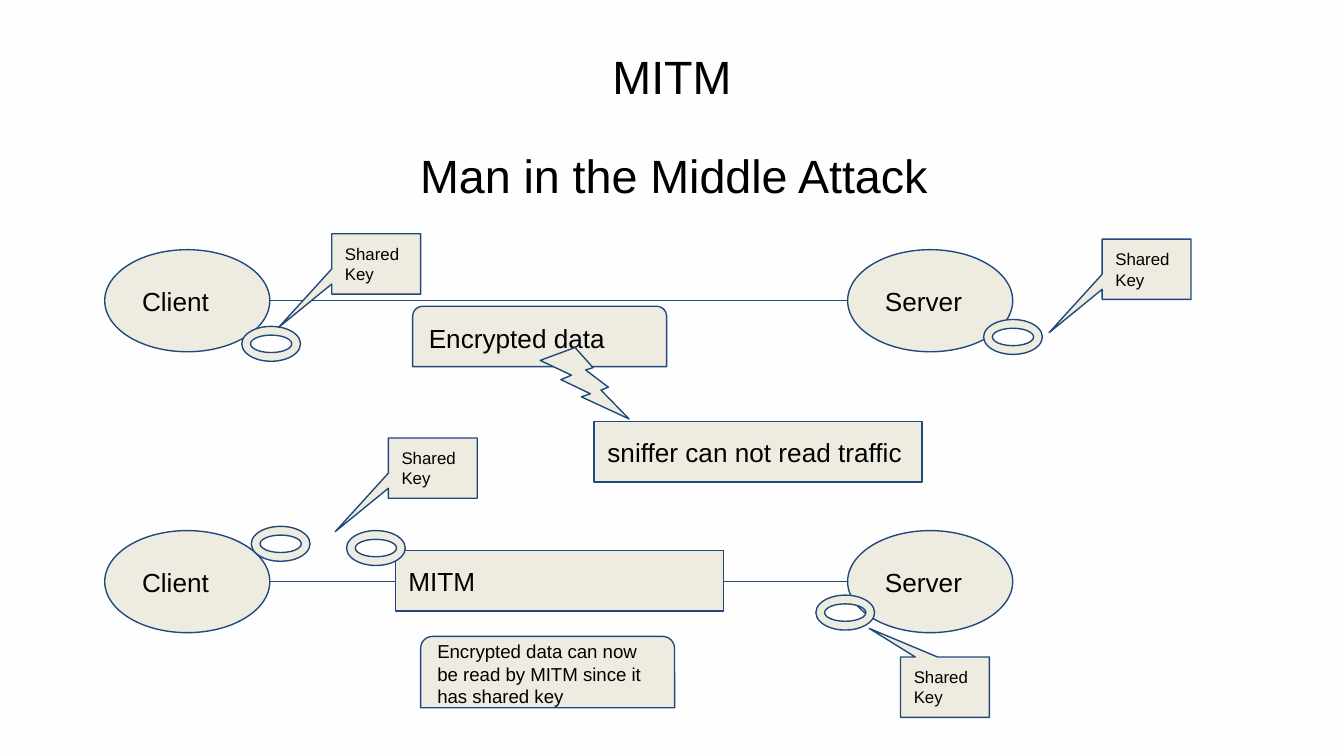
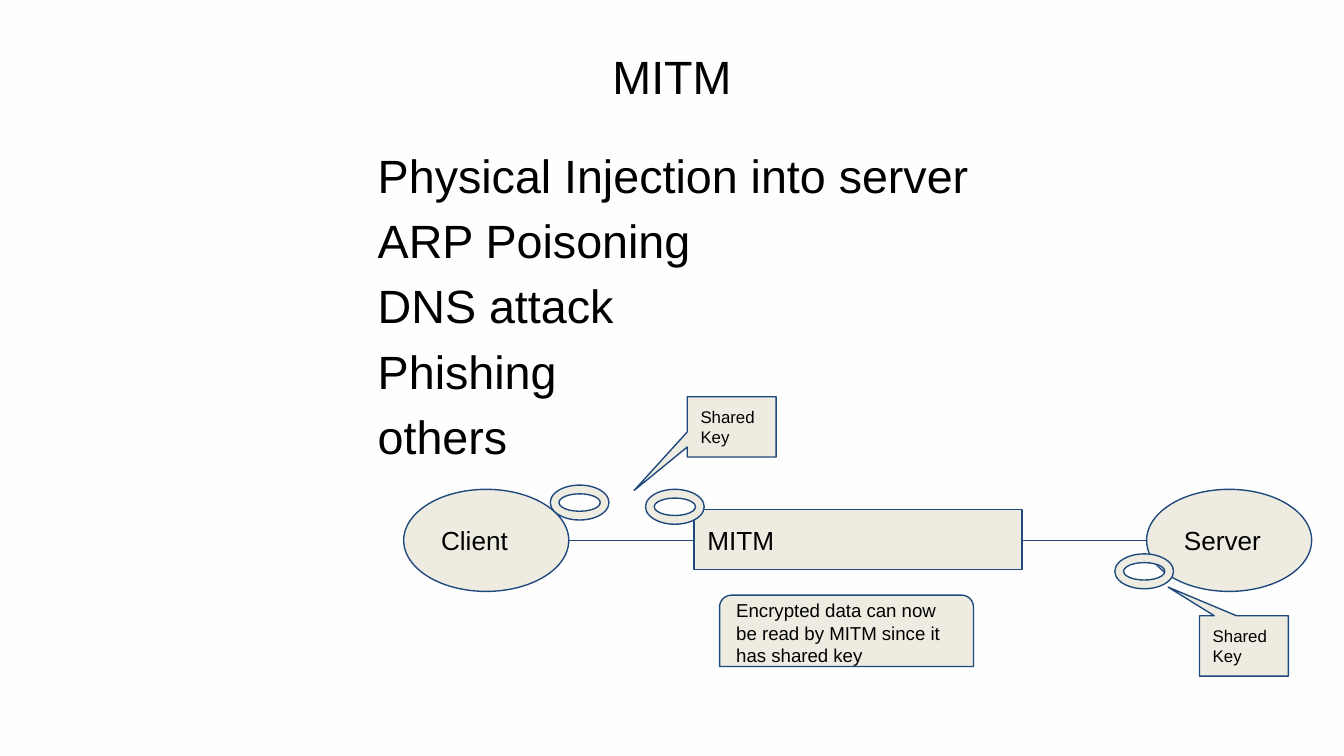
import dataclasses

import lxml.etree
import pptx
import pptx.dml.color
import pptx.enum.shapes
import pptx.enum.text
import pptx.oxml.ns
import pptx.util

Cm = pptx.util.Cm
Pt = pptx.util.Pt
Form = pptx.enum.shapes.MSO_SHAPE
Anchor = pptx.enum.text.MSO_ANCHOR
Align = pptx.enum.text.PP_ALIGN


@dataclasses.dataclass(frozen=True)
class Theme:
    back: str = "FFFEFF"
    fill: str = "EEECE1"
    edge: str = "1F497D"
    ink: str = "000000"
    font: str = "Arial"
    head: int = 25
    label: int = 14
    note: int = 10
    key: int = 9
    line: float = 0.75


@dataclasses.dataclass(frozen=True)
class Box:
    left: float
    top: float
    width: float
    height: float

    def inner(self, x, y, width, height):
        return Box(self.left + x, self.top + y, width, height)

    def sides(self):
        return [Cm(side) for side in (self.left, self.top, self.width, self.height)]


THEME = Theme()
PAGE = Box(0, 0, 25.4, 14.29)
NODE = (3.12, 1.93)
BAR = (6.2, 1.14)
RING = (1.11, 0.66)
KEY = (1.68, 1.14)
SPAN = 14.04
DOWN = (-1.098, 1.053, 0)
UP = (-0.854, -0.976, 0)


def tint(name):
    return pptx.dml.color.RGBColor.from_string(name)


def write(frame, text, size, inset, anchor):
    frame.word_wrap = True
    frame.vertical_anchor = anchor
    frame.margin_left = frame.margin_right = Cm(inset)
    frame.margin_top = frame.margin_bottom = Cm(inset)
    frame.text = text
    for line in frame.paragraphs:
        line.alignment = Align.LEFT
        for run in line.runs:
            run.font.name = THEME.font
            run.font.size = Pt(size)
            run.font.color.rgb = tint(THEME.ink)


def shape(slide, form, box, text="", size=THEME.label, bends=()):
    item = slide.shapes.add_shape(form, *box.sides())
    item.shadow.inherit = False
    item.fill.solid()
    item.fill.fore_color.rgb = tint(THEME.fill)
    item.line.color.rgb = tint(THEME.edge)
    item.line.width = Pt(THEME.line)
    for spot, bend in enumerate(bends):
        item.adjustments[spot] = bend
    if text:
        write(item.text_frame, text, size, 0.25, Anchor.MIDDLE)


def ring(slide, box, x, y):
    shape(slide, Form.DONUT, box.inner(x, y, *RING))


def key(slide, box, x, y, bends):
    shape(slide, Form.ROUNDED_RECTANGULAR_CALLOUT, box.inner(x, y, *KEY),
          "Shared Key", THEME.key, bends)


def link(slide, box):
    for x, name in ((0, "Client"), (SPAN, "Server")):
        shape(slide, Form.OVAL, box.inner(x, 0, *NODE), name)
    mid = Cm(box.top + NODE[1] / 2)
    wire = slide.shapes.add_connector(
        pptx.enum.shapes.MSO_CONNECTOR.STRAIGHT,
        Cm(box.left + NODE[0]), mid, Cm(box.left + SPAN), mid)
    wire.line.color.rgb = tint(THEME.edge)
    wire.line.width = Pt(THEME.line)
    lxml.etree.SubElement(wire.element.spPr, pptx.oxml.ns.qn("a:effectLst"))


def safe(slide, box):
    link(slide, box)
    shape(slide, Form.ROUND_2_SAME_RECTANGLE, box.inner(5.82, 1.07, 4.8, 1.14),
          "Encrypted data")
    shape(slide, Form.LIGHTNING_BOLT, box.inner(8.23, 1.85, 1.68, 1.35))
    shape(slide, Form.RECTANGLE, box.inner(9.25, 3.25, *BAR),
          "sniffer can not read traffic")
    ring(slide, box, 2.59, 1.45)
    ring(slide, box, 16.61, 1.32)
    key(slide, box, 18.85, -0.2, DOWN)
    key(slide, box, 4.29, -0.3, DOWN)


def attack(slide, box):
    link(slide, box)
    shape(slide, Form.ROUND_2_SAME_RECTANGLE, box.inner(5.97, 2, 4.8, 1.35),
          "Encrypted data can now be read by MITM since it has shared key",
          THEME.note)
    shape(slide, Form.RECTANGLE, box.inner(5.49, 0.38, *BAR), "MITM")
    ring(slide, box, 2.77, -0.08)
    key(slide, box, 5.36, -1.75, DOWN)
    ring(slide, box, 4.57, 0)
    key(slide, box, 15.04, 2.39, UP)
    ring(slide, box, 13.44, 1.22)


def page(deck, box, lines, indent):
    slide = deck.slides.add_slide(deck.slide_layouts[6])
    slide.background.fill.solid()
    slide.background.fill.fore_color.rgb = tint(THEME.back)
    title = slide.shapes.add_textbox(*box.inner(1.27, 0.56, 22.86, 1.75).sides())
    write(title.text_frame, "MITM", THEME.head, 0.2, Anchor.MIDDLE)
    title.text_frame.paragraphs[0].alignment = Align.CENTER
    body = slide.shapes.add_textbox(*box.inner(0.74, 2.57, 24.2, 1.75).sides())
    write(body.text_frame, "\n".join(lines), THEME.head, 0.2, Anchor.TOP)
    for line in body.text_frame.paragraphs:
        line.space_before = Pt(5)
        line._p.get_or_add_pPr().set("marL", str(Cm(indent)))
    return slide


def main():
    deck = pptx.Presentation()
    deck.slide_width, deck.slide_height = Cm(PAGE.width), Cm(PAGE.height)
    first = page(deck, PAGE, ["Man in the Middle Attack"], 7)
    safe(first, PAGE.inner(1.98, 4.72, 17.16, 1.93))
    attack(first, PAGE.inner(1.98, 10.03, 17.16, 1.93))
    ways = ["Physical Injection into server", "ARP Poisoning", "DNS attack",
            "Phishing", "others"]
    second = page(deck, PAGE, ways, 6.2)
    attack(second, PAGE.inner(7.63, 9.25, 17.16, 1.93))
    deck.save("out.pptx")


if __name__ == "__main__":
    main()
